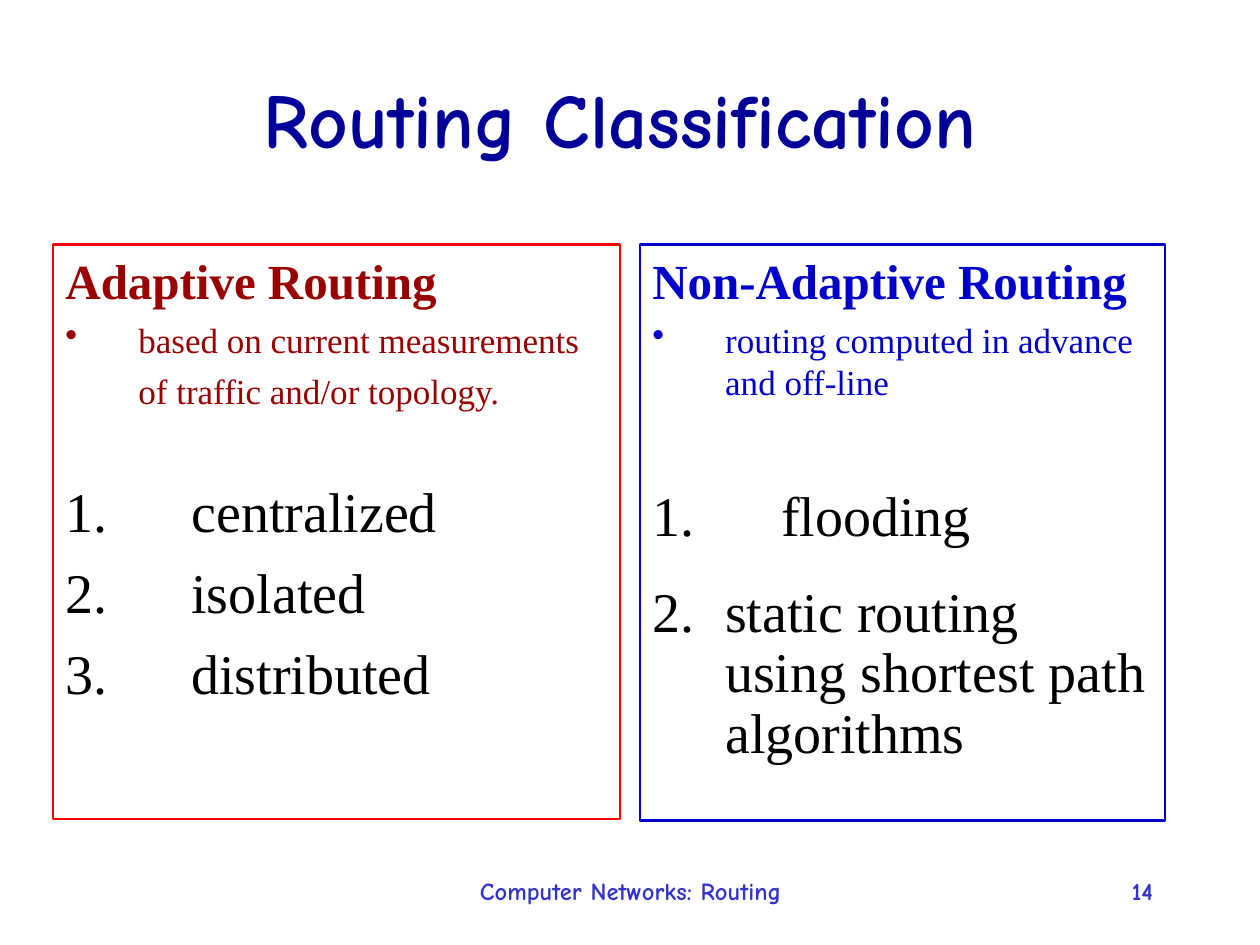
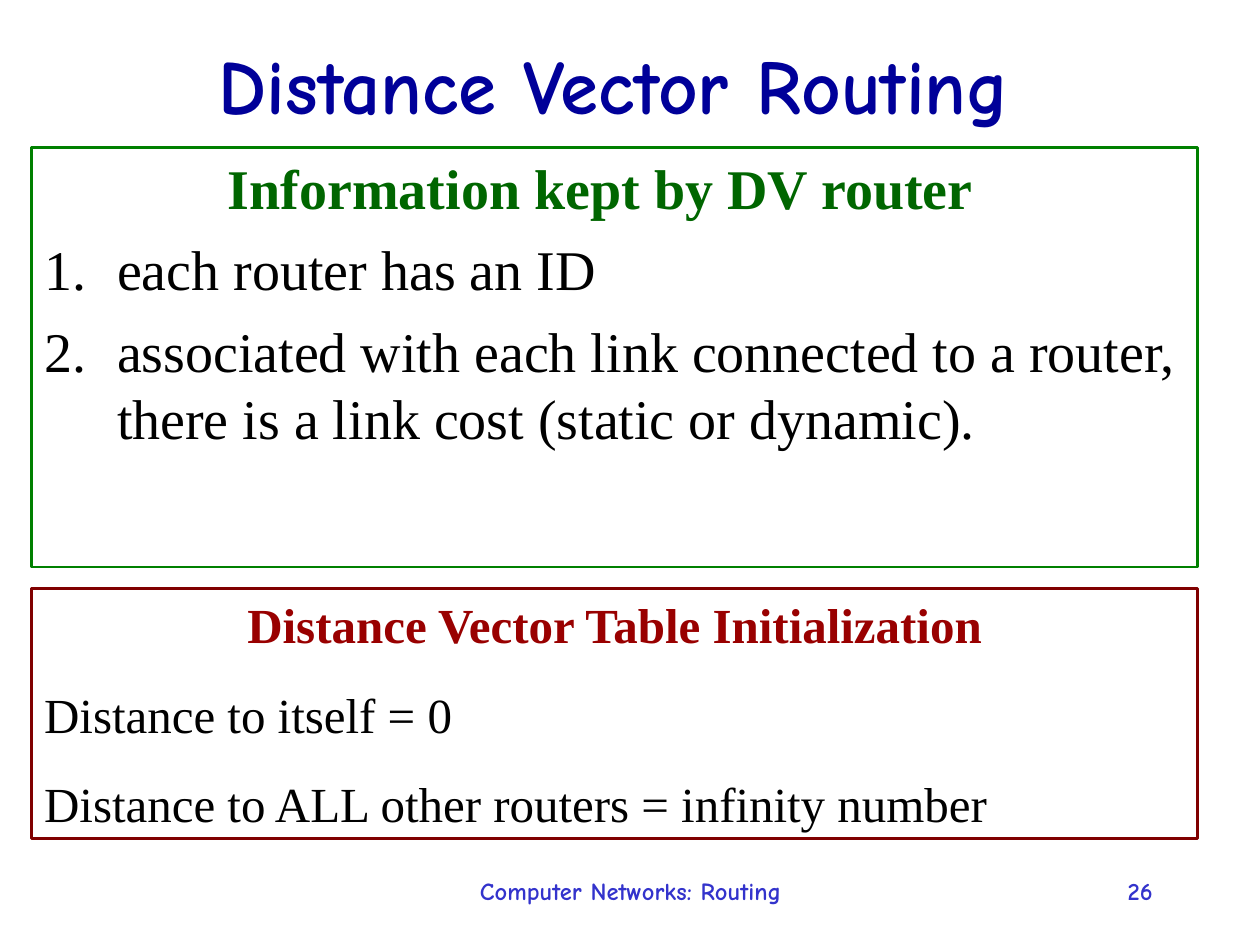
from dataclasses import dataclass
from typing import Optional

from lxml.etree import SubElement
from pptx import Presentation
from pptx.dml.color import RGBColor
from pptx.enum.shapes import MSO_SHAPE
from pptx.enum.text import MSO_ANCHOR, PP_ALIGN
from pptx.oxml.ns import qn
from pptx.util import Cm, Pt

# Shared style
TITLE_FONT, BODY_FONT = "Comic Neue", "Times New Roman"
NAVY, FOOTER_BLUE, BLACK = "000099", "3333CC", "000000"
MAROON, BLUE, GREEN = "990000", "0000CC", "006600"
HANGING = 1.47
BULLET = ("a:buChar", {"char": "•"})
NUMBER = ("a:buAutoNum", {"type": "arabicPeriod"})


@dataclass
class Line:
    text: str
    size: float
    color: str = BLACK
    bold: bool = False
    font: str = BODY_FONT
    before: float = 0
    spacing: Optional[float] = None
    align: PP_ALIGN = PP_ALIGN.LEFT
    marker: Optional[tuple] = None
    indent: float = 0
    right_margin: float = 0


@dataclass
class Area:
    left: float
    top: float
    width: float
    height: float

    def lengths(self) -> tuple:
        return Cm(self.left), Cm(self.top), Cm(self.width), Cm(self.height)


@dataclass
class Panel:
    area: Area
    border: str
    lines: list


@dataclass
class Page:
    number: int
    title: str
    title_area: Area
    panels: list
    title_inset_right: float = 0.25


def rgb(color: str) -> RGBColor:
    return RGBColor.from_string(color)


def write_line(paragraph, line: Line) -> None:
    """Fill one paragraph with its text, indents, marker and font."""
    layout = {"alignment": line.align, "space_before": Pt(line.before),
              "line_spacing": line.spacing}
    for name, value in layout.items():
        setattr(paragraph, name, value)

    properties = paragraph._p.get_or_add_pPr()
    margins = {"marL": Cm(line.indent), "marR": Cm(line.right_margin),
               "indent": -Cm(line.indent) if line.marker else 0}
    for name, value in margins.items():
        properties.set(name, str(int(value)))
    tag, attributes = line.marker or ("a:buNone", {})
    SubElement(properties, qn(tag), attributes)

    run = paragraph.add_run()
    run.text = line.text
    style = {"name": line.font, "size": Pt(line.size), "bold": line.bold}
    for name, value in style.items():
        setattr(run.font, name, value)
    run.font.color.rgb = rgb(line.color)


def write_lines(frame, lines: list, anchor=MSO_ANCHOR.TOP, inset_right: float = 0.25) -> None:
    settings = {"word_wrap": True, "vertical_anchor": anchor,
                "margin_left": Cm(0.25), "margin_right": Cm(inset_right),
                "margin_top": Cm(0.13), "margin_bottom": Cm(0.13)}
    for name, value in settings.items():
        setattr(frame, name, value)
    for index, line in enumerate(lines):
        write_line(frame.add_paragraph() if index else frame.paragraphs[0], line)


def draw_footer(slide, number: int) -> None:
    footers = [
        (Area(8.69, 17.53, 8.05, 0.89), "Computer Networks: Routing", PP_ALIGN.CENTER),
        (Area(18.21, 17.53, 5.28, 0.89), str(number), PP_ALIGN.RIGHT),
    ]
    for area, text, align in footers:
        footer = slide.shapes.add_textbox(*area.lengths())
        write_lines(footer.text_frame,
                    [Line(text, 14, FOOTER_BLUE, True, TITLE_FONT, align=align)])


def draw_title(slide, page: Page) -> None:
    title = slide.shapes.add_textbox(*page.title_area.lengths())
    heading = Line(page.title, 44, NAVY, True, TITLE_FONT, align=PP_ALIGN.CENTER)
    write_lines(title.text_frame, [heading], MSO_ANCHOR.MIDDLE, page.title_inset_right)


def draw_panel(slide, panel: Panel) -> None:
    frame = slide.shapes.add_shape(MSO_SHAPE.RECTANGLE, *panel.area.lengths())
    frame.shadow.inherit = False
    frame.fill.background()
    frame.line.color.rgb = rgb(panel.border)
    frame.line.width = Pt(1.5)
    write_lines(frame.text_frame, panel.lines)


def bullet(text: str, color: str) -> Line:
    return Line(text, 20, color, before=5, marker=BULLET, indent=HANGING)


def numbered(text: str, before: float = 8, indent: float = HANGING,
             spacing: Optional[float] = None) -> Line:
    return Line(text, 32, before=before, marker=NUMBER, indent=indent, spacing=spacing)


# Slide content
CLASSIFICATION = Page(14, "Routing Classification", Area(0.3, 0.71, 24.41, 3.33), [
    Panel(Area(1.07, 4.93, 11.43, 11.58), "FF0000", [
        Line("Adaptive Routing", 28, MAROON, True),
        bullet("based on current measurements", MAROON),
        Line("of traffic and/or topology.", 20, MAROON, before=5, indent=HANGING),
        numbered("centralized", 37, 2.54),
        numbered("isolated", indent=2.54),
        numbered("distributed", indent=2.54),
    ]),
    Panel(Area(12.9, 4.93, 10.59, 11.61), BLUE, [
        Line("Non-Adaptive Routing", 28, BLUE, True),
        bullet("routing computed in advance and off-line", BLUE),
        numbered("flooding", 49, 2.6, 0.9),
        numbered("static routing using shortest path algorithms", 20, spacing=0.9),
    ]),
])

DISTANCE_VECTOR = Page(26, "Distance Vector Routing", Area(1.91, 0.64, 21.59, 2.11), [
    Panel(Area(0.64, 2.97, 23.5, 8.46), "008000", [
        Line("Information kept by DV router", 32, GREEN, True,
             align=PP_ALIGN.CENTER, right_margin=0.56),
        numbered("each router has an ID"),
        numbered("associated with each link connected to a router, "
                 "there is a link cost (static or dynamic)."),
    ]),
    Panel(Area(0.64, 11.86, 23.5, 5.05), "800000", [
        Line("Distance Vector Table Initialization", 28, MAROON, True,
             align=PP_ALIGN.CENTER),
        Line("Distance to itself = 0", 28, before=17.5),
        Line("Distance to ALL other routers = infinity number", 28, before=17.5),
    ]),
], title_inset_right=0.9)


def main() -> None:
    deck = Presentation()
    deck.slide_width, deck.slide_height = Cm(25.4), Cm(19.05)
    for page in (CLASSIFICATION, DISTANCE_VECTOR):
        slide = deck.slides.add_slide(deck.slide_layouts[6])
        draw_footer(slide, page.number)
        draw_title(slide, page)
        for panel in page.panels:
            draw_panel(slide, panel)
    deck.save("out.pptx")


if __name__ == "__main__":
    main()
